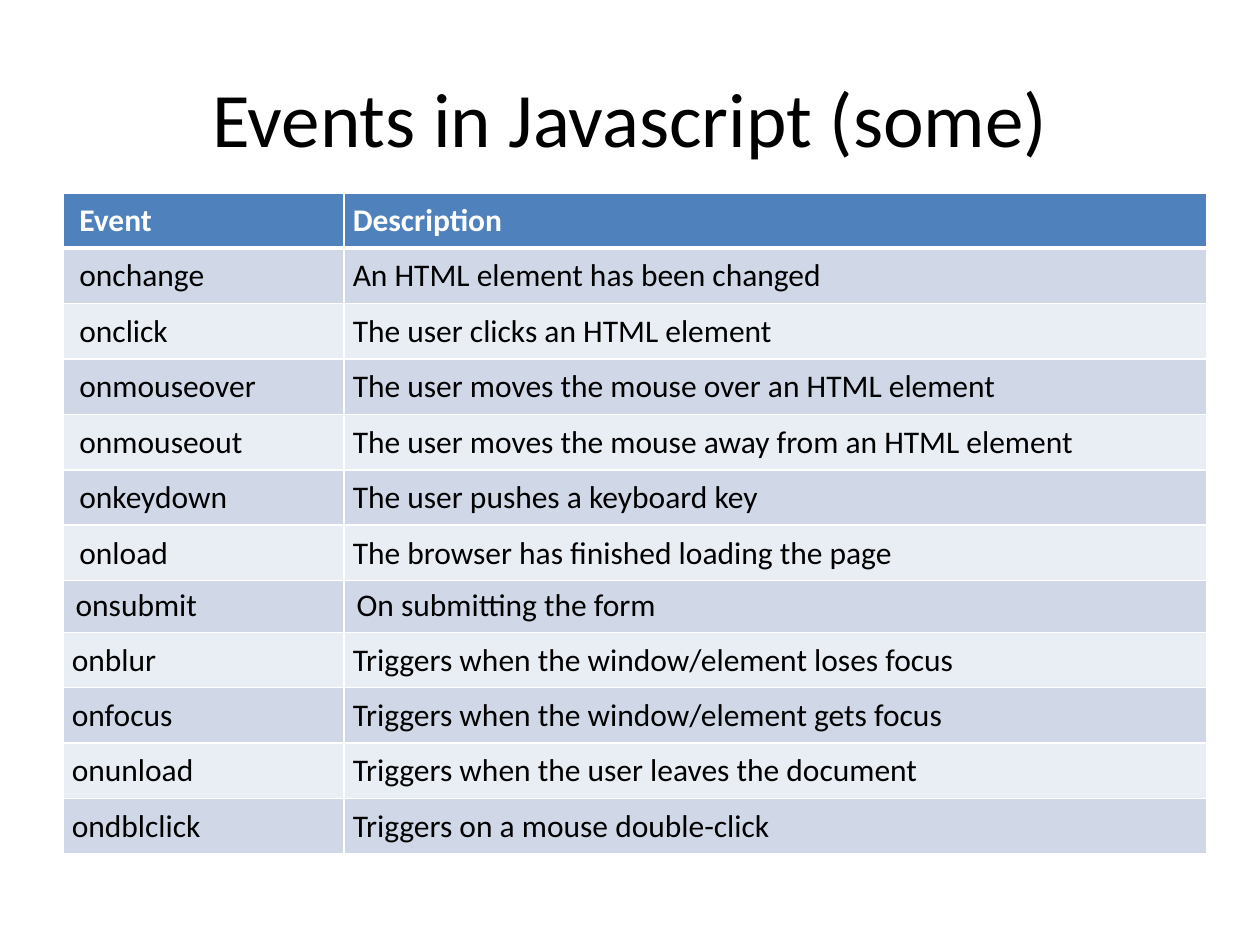
from typing import NamedTuple

from lxml.etree import SubElement
from pptx import Presentation
from pptx.dml.color import RGBColor
from pptx.enum.text import MSO_ANCHOR as Anchor, PP_ALIGN as Align
from pptx.oxml.ns import qn
from pptx.util import Inches, Pt

FONT = "Calibri"
BLACK = RGBColor(0x00, 0x00, 0x00)
WHITE = RGBColor(0xFF, 0xFF, 0xFF)
HEADER_BLUE = RGBColor(0x4F, 0x81, 0xBD)
BANDS = (RGBColor(0xD0, 0xD8, 0xE8), RGBColor(0xE9, 0xED, 0xF4))

ROW_HEIGHT = 0.41
COLUMN_WIDTHS = (2.23, 6.85)
THIN, THICK = 1, 3


class Insets(NamedTuple):
    """Left margins of the two cells and their shared other margins."""
    event: float
    description: float
    right: float = 0.07
    vertical: float = 0.07


class Event(NamedTuple):
    """One table row."""
    name: str
    description: str
    insets: Insets


INDENTED = Insets(0.13, 0.07)
DEFAULT = Insets(0.1, 0.1, 0.1, 0.05)
EVEN = Insets(0.07, 0.07)

ROWS = (
    Event("Event", "Description", INDENTED),
    Event("onchange", "An HTML element has been changed", INDENTED),
    Event("onclick", "The user clicks an HTML element", INDENTED),
    Event("onmouseover", "The user moves the mouse over an HTML element", INDENTED),
    Event("onmouseout", "The user moves the mouse away from an HTML element", INDENTED),
    Event("onkeydown", "The user pushes a keyboard key", INDENTED),
    Event("onload", "The browser has finished loading the page", INDENTED),
    Event("onsubmit", "On submitting the form", DEFAULT),
    Event("onblur", "Triggers when the window/element loses focus", EVEN),
    Event("onfocus", "Triggers when the window/element gets focus", EVEN),
    Event("onunload", "Triggers when the user leaves the document", EVEN),
    Event("ondblclick", "Triggers on a mouse double-click", EVEN),
)


def style_font(paragraph, size: float, color: RGBColor, bold: bool = False) -> None:
    """Set the font of a whole paragraph."""
    font = paragraph.font
    font.name, font.size, font.bold = FONT, Pt(size), bold
    font.color.rgb = color


def add_title(slide, text: str) -> None:
    """Add the centred slide title."""
    frame = slide.shapes.add_textbox(
        Inches(0.5), Inches(0.3), Inches(9), Inches(1.25)).text_frame
    frame.word_wrap = True
    frame.vertical_anchor = Anchor.MIDDLE
    paragraph = frame.paragraphs[0]
    paragraph.text = text
    paragraph.alignment = Align.CENTER
    style_font(paragraph, 44, BLACK)


def set_borders(cell, top: float, bottom: float) -> None:
    """Give a cell white borders; call before filling the cell."""
    properties = cell._tc.get_or_add_tcPr()
    for side, width in (("L", THIN), ("R", THIN), ("T", top), ("B", bottom)):
        line = SubElement(properties, qn(f"a:ln{side}"), w=str(Pt(width)))
        fill = SubElement(line, qn("a:solidFill"))
        SubElement(fill, qn("a:srgbClr"), val=str(WHITE))


def fill_row(table, index: int, event: Event) -> None:
    """Write and style one row of the table."""
    header = index == 0
    insets = event.insets
    table.rows[index].height = Inches(ROW_HEIGHT)
    contents = ((event.name, insets.event), (event.description, insets.description))
    for column, (text, left) in enumerate(contents):
        cell = table.cell(index, column)
        cell.margin_left, cell.margin_right = Inches(left), Inches(insets.right)
        cell.margin_top = cell.margin_bottom = Inches(insets.vertical)
        set_borders(cell, THICK if index == 1 else THIN, THICK if header else THIN)
        cell.fill.solid()
        cell.fill.fore_color.rgb = HEADER_BLUE if header else BANDS[(index - 1) % 2]
        paragraph = cell.text_frame.paragraphs[0]
        paragraph.text = text
        style_font(paragraph, 18, WHITE if header else BLACK, header)


def add_event_table(slide) -> None:
    """Add the table of events."""
    table = slide.shapes.add_table(
        len(ROWS), len(COLUMN_WIDTHS), Inches(0.5), Inches(1.53),
        Inches(sum(COLUMN_WIDTHS)), Inches(ROW_HEIGHT * len(ROWS))).table
    for column, width in zip(table.columns, COLUMN_WIDTHS):
        column.width = Inches(width)
    for index, event in enumerate(ROWS):
        fill_row(table, index, event)


def main() -> None:
    """Build the slide and save it."""
    presentation = Presentation()
    presentation.slide_width, presentation.slide_height = Inches(10), Inches(7.5)
    slide = presentation.slides.add_slide(presentation.slide_layouts[6])
    add_title(slide, "Events in Javascript (some)")
    add_event_table(slide)
    presentation.save("out.pptx")


main()
